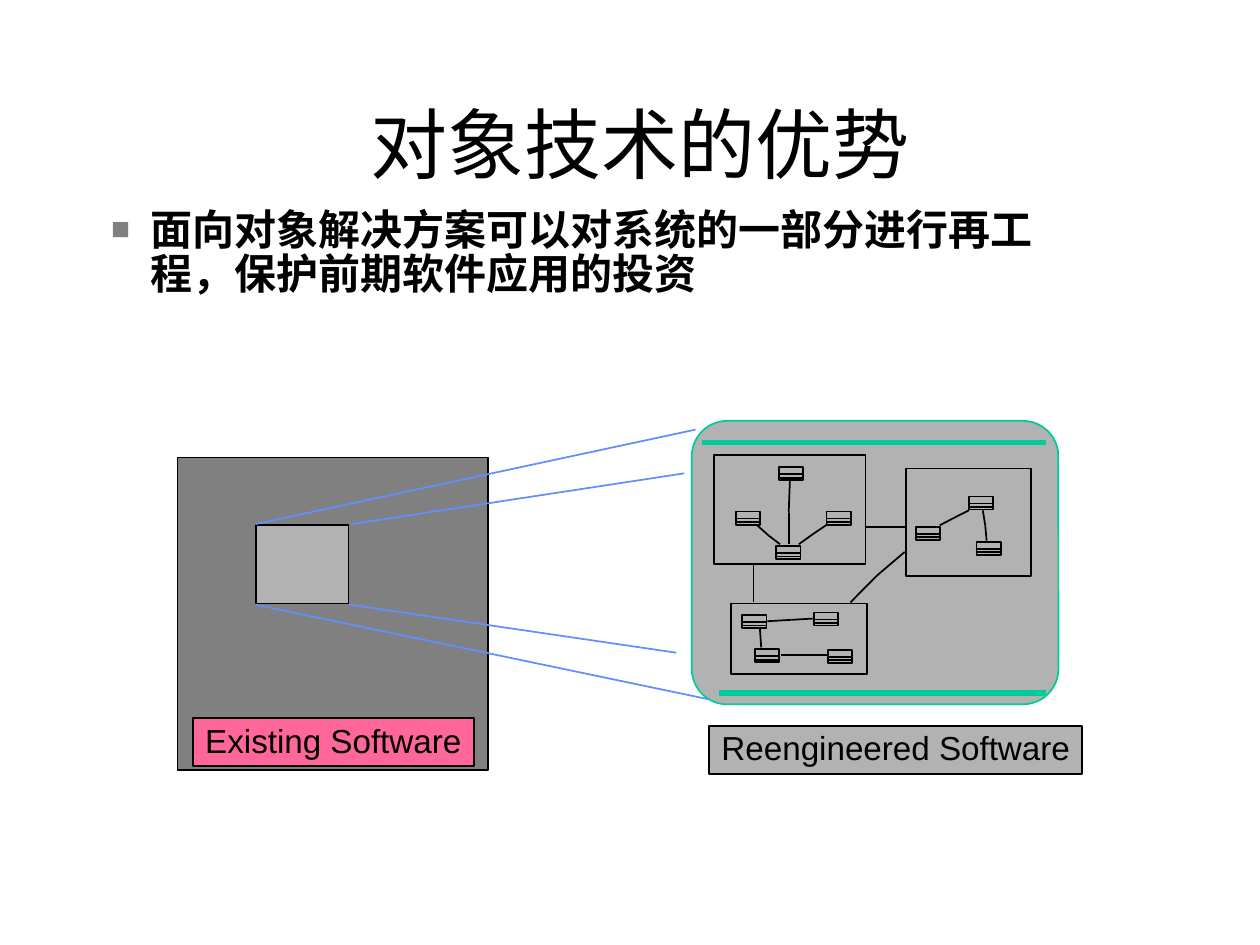
"""Build a slide on reengineering part of a system with object technology."""
from lxml import etree
from pptx import Presentation
from pptx import util as u
from pptx.dml.color import RGBColor
from pptx.enum import shapes, text
from pptx.oxml.ns import qn

BLACK, DARK, GREY = "000000", "808080", "B2B2B2"
GREEN, BLUE, PINK = "00CC99", "618FFD", "FF6699"

ZOOM_LINES = [
    [(146, 299.5), (397.5, 245.5)],
    [(201, 299.5), (391, 270.5)],
    [(199.5, 345.5), (386.5, 373)],
    [(146, 345.5), (404.5, 399.5)],
]
BARS = [[(401, 252.7), (597.5, 252.7)], [(411, 396), (597.5, 396)]]
SUBSYSTEMS = [
    (417.6, 344.9, 77.8, 40.3),
    (517.7, 267.8, 71.3, 61.2),
    (408.2, 259.9, 86.4, 62.6),
]
OBJECTS = [
    (445, 267), (420.5, 292.3), (472.3, 292.3), (443.5, 312),
    (553.7, 283.7), (523.4, 301), (558, 309.6),
    (424, 351.4), (465, 350), (431.3, 371), (473, 371.3),
]
LINKS = [
    [(494.6, 301), (517, 301)],
    [(517, 315.4), (501, 329), (486, 344.2)],
    [(430.6, 322.6), (430.6, 344.2)],
    [(450.7, 311), (450.7, 293), (451.4, 274.3)],
    [(456.5, 311), (464.4, 305.3), (473, 299.5)],
    [(445.7, 311), (439.2, 306), (432.7, 300.2)],
    [(537, 300.2), (545, 296), (553.7, 291.6)],
    [(563.8, 309), (563, 300.2), (561.6, 291.6)],
    [(446.4, 374.4), (473, 374.4)],
    [(438.5, 355), (452.2, 354.2), (464.4, 353.5)],
    [(435, 370), (434.2, 358.6)],
]


def rgb(value):
    """Return the colour for a hex string."""
    return RGBColor.from_string(value)


def format_font(font, name, size, bold=False):
    """Set a black font of the given name and size."""
    font.name, font.size, font.bold = name, u.Pt(size), bold
    font.color.rgb = rgb(BLACK)


def clear_margins(frame):
    """Remove all four insets of a text frame."""
    frame.margin_left = frame.margin_top = 0
    frame.margin_right = frame.margin_bottom = 0


def add_title(slide, words):
    """Place and format the title placeholder."""
    title = slide.shapes.title
    title.left, title.top = u.Pt(60), u.Pt(48)
    title.width, title.height = u.Pt(612), u.Pt(60)
    frame = title.text_frame
    frame.text = words
    clear_margins(frame)
    frame.auto_size = text.MSO_AUTO_SIZE.NONE
    frame.vertical_anchor = text.MSO_ANCHOR.BOTTOM
    paragraph = frame.paragraphs[0]
    paragraph.alignment = text.PP_ALIGN.CENTER
    format_font(paragraph.font, "Times New Roman", 44)


def add_bullet_text(slide, words):
    """Add the bulleted statement below the title."""
    box = slide.shapes.add_textbox(u.Pt(41), u.Pt(120), u.Pt(565), u.Pt(50))
    frame = box.text_frame
    frame.word_wrap = True
    clear_margins(frame)
    paragraph = frame.paragraphs[0]
    paragraph.text = words
    paragraph.line_spacing = u.Pt(25)
    properties = paragraph._p.get_or_add_pPr()
    properties.set("marL", str(u.Pt(45)))
    properties.set("indent", str(u.Pt(-22.5)))
    colour = etree.SubElement(properties, qn("a:buClr"))
    etree.SubElement(colour, qn("a:srgbClr"), val=DARK)
    etree.SubElement(properties, qn("a:buSzPct"), val="75000")
    etree.SubElement(properties, qn("a:buFont"), typeface="Arial")
    etree.SubElement(properties, qn("a:buChar"), char="■")
    format_font(paragraph.font, "Arial", 24, bold=True)


def add_box(slide, bounds, fill, line=BLACK, kind=shapes.MSO_SHAPE.RECTANGLE):
    """Add a filled, outlined shape at left, top, width, height."""
    shape = slide.shapes.add_shape(kind, *[u.Pt(value) for value in bounds])
    shape.shadow.inherit = False
    shape.fill.solid()
    shape.fill.fore_color.rgb = rgb(fill)
    shape.line.color.rgb = rgb(line)
    shape.line.width = u.Pt(1)
    return shape


def add_label(slide, bounds, fill, words):
    """Add a box that holds one line of text."""
    frame = add_box(slide, bounds, fill).text_frame
    frame.word_wrap = True
    frame.auto_size = text.MSO_AUTO_SIZE.NONE
    frame.vertical_anchor = text.MSO_ANCHOR.TOP
    frame.margin_right = 0
    paragraph = frame.paragraphs[0]
    paragraph.text = words
    paragraph.alignment = text.PP_ALIGN.LEFT
    paragraph.line_spacing = 0.9
    format_font(paragraph.font, "Arial", 19)


def add_line(slide, points, colour=BLACK, width=1):
    """Join successive points with straight connectors."""
    for start, end in zip(points, points[1:]):
        ends = [u.Pt(value) for value in (*start, *end)]
        line = slide.shapes.add_connector(shapes.MSO_CONNECTOR.STRAIGHT, *ends)
        line.line.color.rgb = rgb(colour)
        line.line.width = u.Pt(width)
        etree.SubElement(line._element.spPr, qn("a:effectLst"))


def add_object(slide, left, top):
    """Add a small class symbol with two dividing lines."""
    add_box(slide, (left, top, 14, 7.5), GREY)
    for offset in (4, 6):
        add_line(slide, [(left - 0.5, top + offset), (left + 14.5, top + offset)])


def main():
    """Build and save the slide."""
    presentation = Presentation()
    presentation.slide_width, presentation.slide_height = u.Pt(720), u.Pt(540)
    slide = presentation.slides.add_slide(presentation.slide_layouts[5])

    add_title(slide, "对象技术的优势")
    add_bullet_text(slide, "面向对象解决方案可以对系统的一部分进行再工程，保护前期软件应用的投资")

    reengineered = add_box(slide, (395.3, 240.5, 209.5, 162), GREY, GREEN,
                           shapes.MSO_SHAPE.ROUNDED_RECTANGLE)
    reengineered.adjustments[0] = 0.125
    add_box(slide, (101.5, 261.5, 177.5, 178.5), DARK)
    add_box(slide, (146.2, 300.2, 53, 44.8), GREY)
    for points in ZOOM_LINES:
        add_line(slide, points, BLUE)
    for points in BARS:
        add_line(slide, points, GREEN, 3)
    add_label(slide, (110.2, 410.4, 160.5, 27.4), PINK, "Existing Software")
    add_label(slide, (405.2, 414.7, 213, 27.4), GREY, "Reengineered Software")

    for bounds in SUBSYSTEMS:
        add_box(slide, bounds, GREY)
    for left, top in OBJECTS:
        add_object(slide, left, top)
    for points in LINKS:
        add_line(slide, points)

    presentation.save("out.pptx")


if __name__ == "__main__":
    main()
